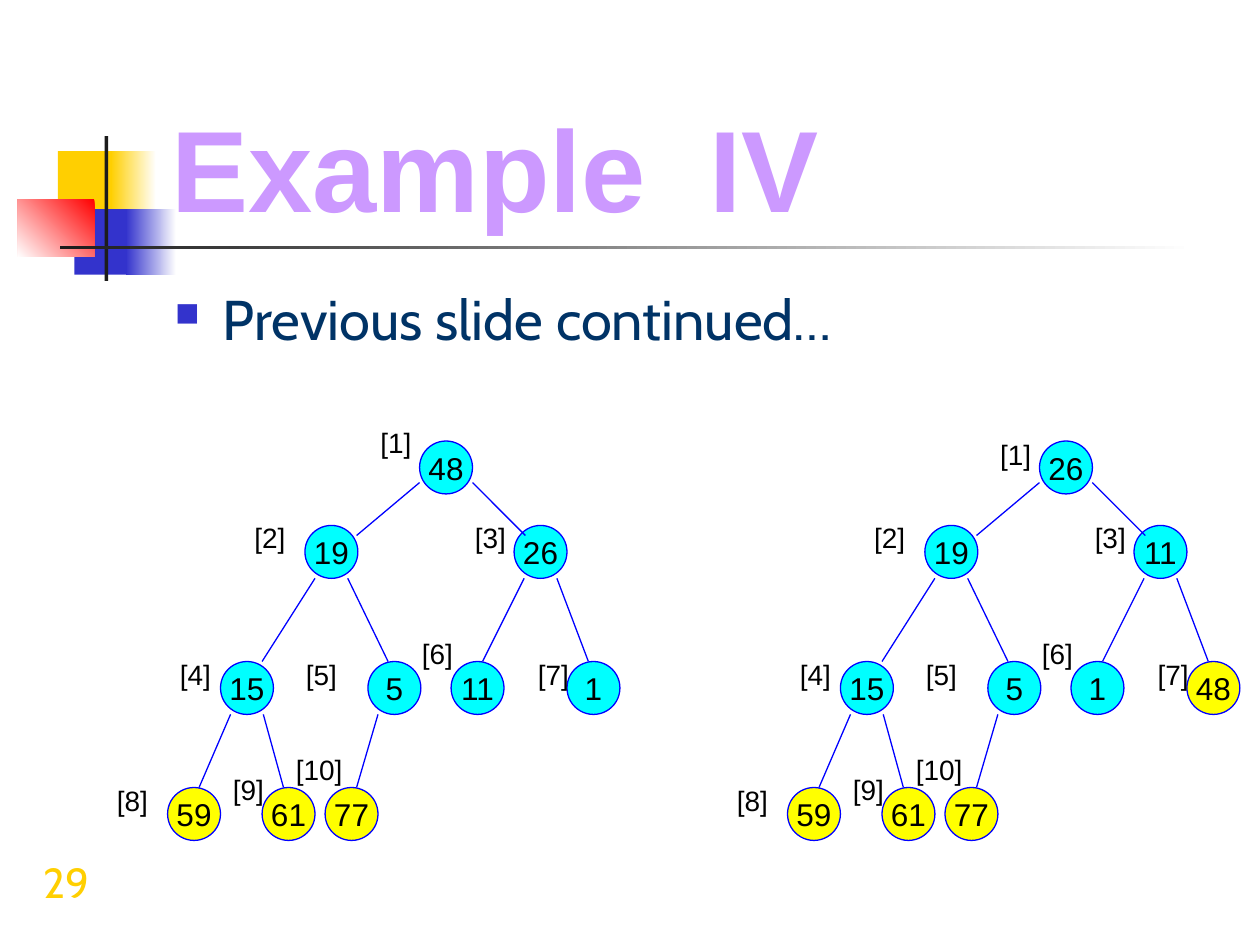
import pptx
import pptx.dml.color
import pptx.enum.shapes
import pptx.enum.text
import pptx.oxml.ns
import pptx.util
from lxml import etree

Inches = pptx.util.Inches
Pt = pptx.util.Pt
SHAPES = pptx.enum.shapes.MSO_SHAPE
ALIGN = pptx.enum.text.PP_ALIGN
ANCHOR = pptx.enum.text.MSO_ANCHOR
FIT = pptx.enum.text.MSO_AUTO_SIZE

THEME = {
    "gold": "FFCF01", "blue": "3333CC", "red": "FF0000", "dark": "1C1C1C",
    "white": "FFFFFF", "edge": "0000FF", "heap": "00FFFF", "sorted": "FFFF00",
    "title": {"name": "Arial", "size": 66, "bold": True, "color": "CC99FF"},
    "body": {"name": "Cabin", "size": 32, "color": "003366"},
    "node": {"name": "Arial", "size": 18, "color": "000000"},
    "index": {"name": "Arial", "size": 16, "color": "000000"},
    "number": {"name": "Cabin", "size": 24, "color": "FFCF01"},
}

TITLE = "Example  IV"
BODY = "Previous slide continued…"
PAGE_NUMBER = "29"

# left, top, width, height, colours from start to end, clockwise angle
ORNAMENT = [
    (0.46, 1.2, 0.48, 0.52, ["gold"], 0),
    (0.88, 1.2, 0.36, 0.52, ["white", "gold"], 180),
    (0.59, 1.66, 0.46, 0.52, ["blue"], 0),
    (1, 1.66, 0.4, 0.52, ["white", "blue"], 180),
    (0.14, 1.58, 0.61, 0.46, ["red", "white"], 135),
    (0.83, 1.08, 0.03, 1.15, ["dark"], 0),
    (0.48, 1.95, 9, 0.03, ["white", "dark"], 180),
]

# Heap slots 1 to 10: node left and top, index left, top and width,
# and where the edge from the parent meets the node
SLOTS = [
    ((3.33, 3.5), (2.92, 3.33, 0.5), None),
    ((2.42, 4.17), (1.92, 4.08, 0.5), (0.41, 0.08)),
    ((4.08, 4.17), (3.67, 4.08, 0.58), (0.09, 0.08)),
    ((1.75, 5.25), (1.33, 5.17, 0.58), (0.33, 0)),
    ((2.92, 5.25), (2.33, 5.17, 0.58), (0.16, 0)),
    ((3.58, 5.25), (3.25, 5, 0.5), (0.25, 0)),
    ((4.5, 5.25), (4.17, 5.17, 0.5), (0.17, 0)),
    ((1.33, 6.25), (0.83, 6.17, 0.58), (0.25, 0)),
    ((2.08, 6.25), (1.75, 6.08, 0.58), (0.17, 0)),
    ((2.58, 6.25), (2.25, 5.92, 0.75), (0.25, 0)),
]
TREES = [
    {"shift": 0, "root_index_drop": 0, "sorted_from": 8,
     "values": [48, 19, 26, 15, 5, 11, 1, 59, 61, 77]},
    {"shift": 4.92, "root_index_drop": 0.09, "sorted_from": 7,
     "values": [26, 19, 11, 15, 5, 1, 48, 59, 61, 77]},
]
NODE_SIZE = 0.42
INDEX_HEIGHT = 0.37


def rgb(value):
    return pptx.dml.color.RGBColor.from_string(value)


def write(shape, text, style, **frame_format):
    frame = shape.text_frame
    for name, value in frame_format.items():
        setattr(frame, name, value)
    para = frame.paragraphs[0]
    span = para.add_run()
    span.text = text
    for name, value in THEME[style].items():
        if name == "color":
            span.font.color.rgb = rgb(value)
        else:
            setattr(span.font, name, Pt(value) if name == "size" else value)
    return para


def add_text(page, place, text, style, **frame_format):
    box = page.shapes.add_textbox(*map(Inches, place))
    return write(box, text, style, **{"word_wrap": True, **frame_format})


def add_ornament(page):
    for *place, colors, angle in ORNAMENT:
        block = page.shapes.add_shape(SHAPES.RECTANGLE, *map(Inches, place))
        block.shadow.inherit = False
        block.line.fill.background()
        if len(colors) == 1:
            block.fill.solid()
            block.fill.fore_color.rgb = rgb(THEME[colors[0]])
            continue
        block.fill.gradient()
        block.fill.gradient_angle = 360 - angle
        for stop, color in zip(block.fill.gradient_stops, colors):
            stop.color.rgb = rgb(THEME[color])


def add_bullet(para):
    """Give the paragraph a hanging square bullet."""
    properties = para._p.get_or_add_pPr()
    properties.set("marL", str(Inches(0.38)))
    properties.set("indent", str(-Inches(0.38)))
    qn = pptx.oxml.ns.qn
    color = etree.SubElement(properties, qn("a:buClr"))
    etree.SubElement(color, qn("a:srgbClr"), val=THEME["blue"])
    etree.SubElement(properties, qn("a:buSzPct"), val="60000")
    etree.SubElement(properties, qn("a:buChar"), char="■")


def add_node(page, left, top, value, color):
    node = page.shapes.add_shape(
        SHAPES.OVAL, *map(Inches, (left, top, NODE_SIZE, NODE_SIZE)))
    node.shadow.inherit = False
    node.fill.solid()
    node.fill.fore_color.rgb = rgb(THEME[color])
    node.line.color.rgb = rgb(THEME["edge"])
    node.line.width = Pt(0.75)
    para = write(node, str(value), "node", word_wrap=False,
                 vertical_anchor=ANCHOR.MIDDLE)
    para.alignment = ALIGN.CENTER


def add_edge(page, slot, shift):
    """Join a slot to its parent, slot // 2; even slots are left children."""
    (left, top), _, (end_x, end_y) = SLOTS[slot - 1]
    parent = slot // 2
    parent_left, parent_top = SLOTS[parent - 1][0]
    inset, drop = (0, 0.33) if parent == 1 else (0.08, NODE_SIZE)
    start_x = inset if slot % 2 == 0 else NODE_SIZE - inset
    ends = (parent_left + start_x + shift, parent_top + drop,
            left + end_x + shift, top + end_y)
    edge = page.shapes.add_connector(
        pptx.enum.shapes.MSO_CONNECTOR.STRAIGHT, *map(Inches, ends))
    edge.line.color.rgb = rgb(THEME["edge"])
    edge.line.width = Pt(0.75)
    etree.SubElement(edge._element.spPr, pptx.oxml.ns.qn("a:effectLst"))


def add_tree(page, tree):
    shift = tree["shift"]
    for slot, ((left, top), _, _) in enumerate(SLOTS, 1):
        color = "sorted" if slot >= tree["sorted_from"] else "heap"
        add_node(page, left + shift, top, tree["values"][slot - 1], color)
    for slot in range(2, len(SLOTS) + 1):
        add_edge(page, slot, shift)
    for slot, (_, (left, top, width), _) in enumerate(SLOTS, 1):
        drop = tree["root_index_drop"] if slot == 1 else 0
        add_text(page, (left + shift, top + drop, width, INDEX_HEIGHT),
                 f"[{slot}]", "index", auto_size=FIT.SHAPE_TO_FIT_TEXT)


def main():
    deck = pptx.Presentation()
    deck.slide_width, deck.slide_height = Inches(10), Inches(7.5)
    page = deck.slides.add_slide(deck.slide_layouts[6])
    add_ornament(page)
    add_text(page, (1.26, 0.67, 8.52, 1.25), TITLE, "title",
             vertical_anchor=ANCHOR.BOTTOM)
    add_bullet(add_text(page, (1.29, 2.21, 8.5, 0.96), BODY, "body"))
    for tree in TREES:
        add_tree(page, tree)
    add_text(page, (0.25, 6.75, 0.75, 0.5), PAGE_NUMBER, "number",
             auto_size=FIT.SHAPE_TO_FIT_TEXT)
    deck.save("out.pptx")


if __name__ == "__main__":
    main()
